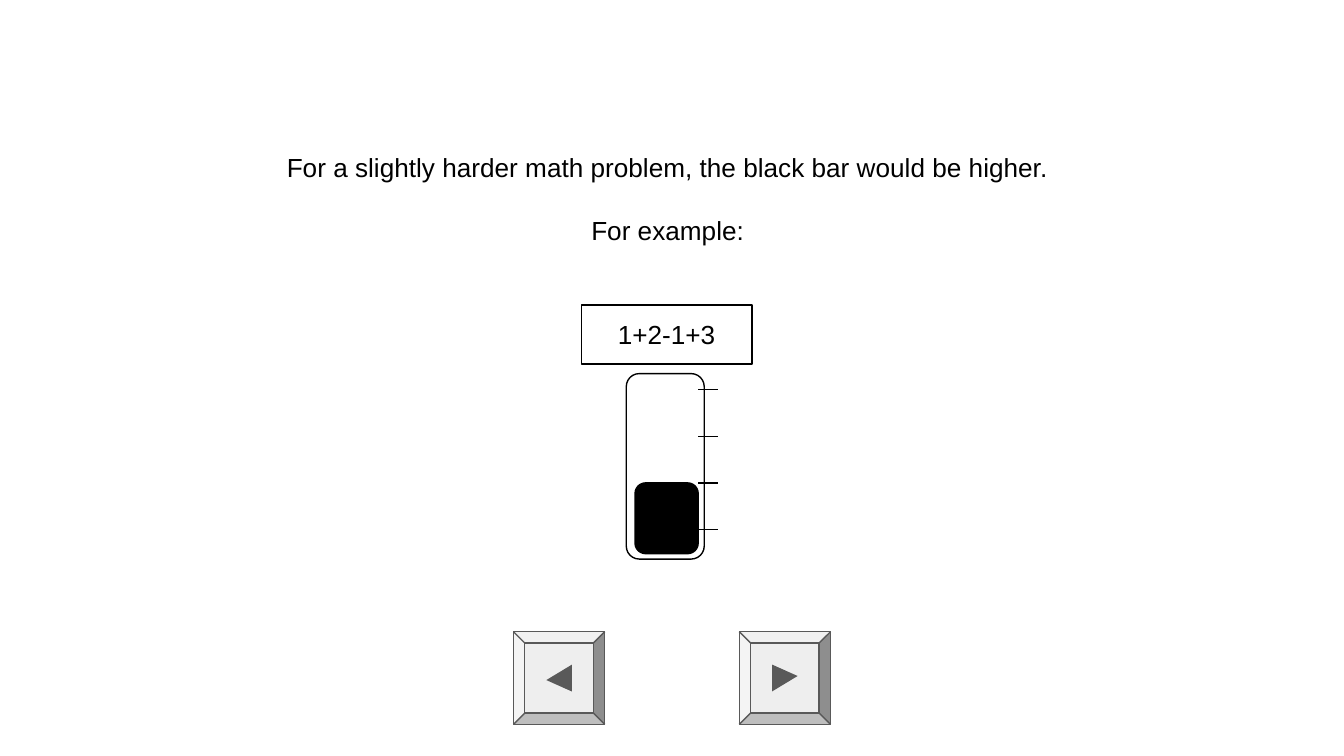
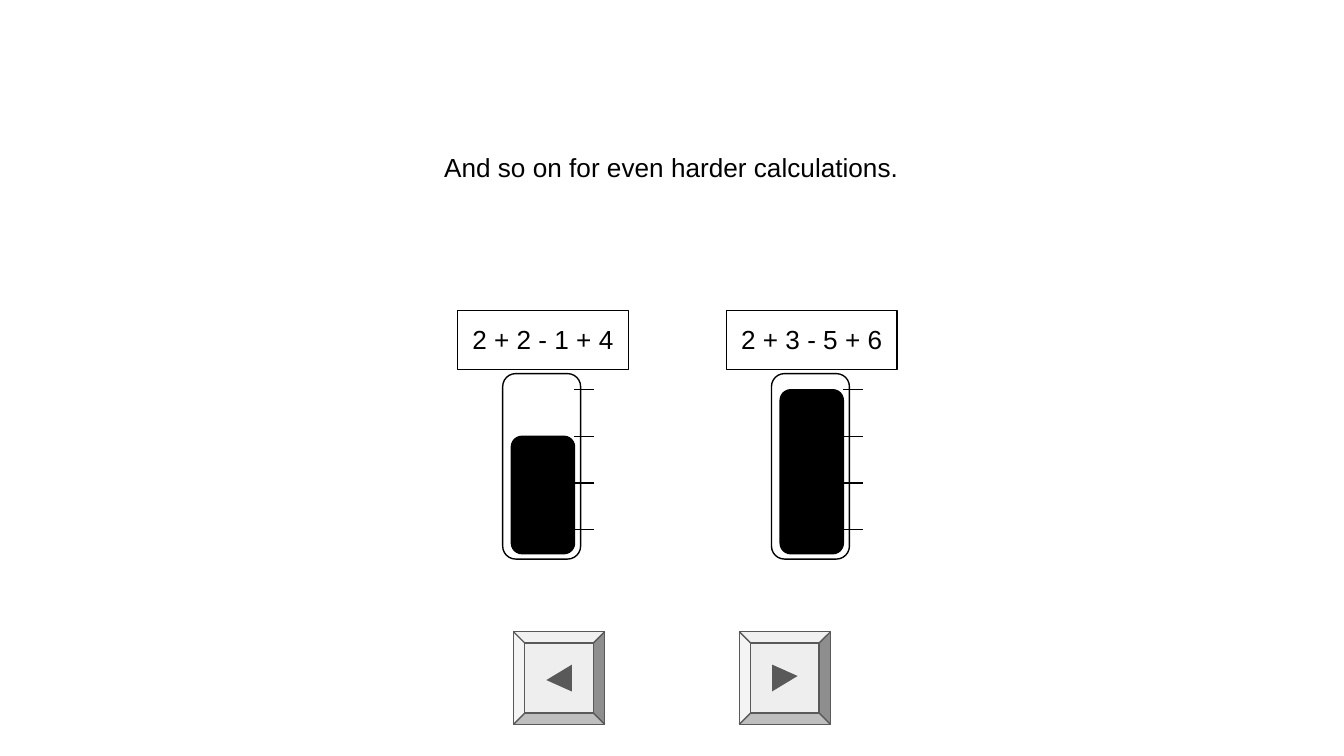
from dataclasses import dataclass

from lxml.etree import SubElement
from pptx import Presentation
from pptx.dml.color import RGBColor
from pptx.enum.shapes import MSO_CONNECTOR, MSO_SHAPE as Shape
from pptx.enum.text import MSO_ANCHOR, MSO_AUTO_SIZE, PP_ALIGN
from pptx.oxml.ns import qn
from pptx.util import Inches, Pt


@dataclass(frozen=True)
class Theme:
    black: RGBColor = RGBColor(0x00, 0x00, 0x00)
    white: RGBColor = RGBColor(0xFF, 0xFF, 0xFF)
    button: RGBColor = RGBColor(0xEE, 0xEE, 0xEE)
    arrow: RGBColor = RGBColor(0x59, 0x59, 0x59)
    font: str = "Arial"
    text_size: Pt = Pt(14)
    paragraph_gap: Pt = Pt(16.5)
    line_width: Pt = Pt(0.75)


@dataclass(frozen=True)
class Gauge:
    problem: str
    center: float
    level: int  # number of the tick that the bar reaches, from the bottom


@dataclass(frozen=True)
class GaugeSlide:
    lines: tuple[str, ...]
    text_height: float
    problem_top: float
    gauges: tuple[Gauge, ...]


@dataclass(frozen=True)
class NavButton:
    left: float
    rotation: float


THEME = Theme()

# Slide size, 16:9
SLIDE_WIDTH = 10
SLIDE_HEIGHT = SLIDE_WIDTH * 9 / 16

# Gauge geometry
TUBE_TOP, TUBE_WIDTH, TUBE_HEIGHT = 2.78, 0.58, 1.38
BAR_WIDTH, BAR_BOTTOM = 0.47, 4.12
PROBLEM_WIDTH, PROBLEM_HEIGHT = 1.27, 0.44
CONTENT_SHIFT = 0.01  # bar and problem sit slightly right of the tube's centre
TICK_COUNT, TICK_TOP, TICK_BOTTOM = 4, 2.9, 3.94
TICK_START, TICK_END = 0.24, 0.39

# Navigation geometry
BUTTON_TOP, BUTTON_WIDTH, BUTTON_HEIGHT = 4.7, 0.68, 0.69
ARROW_WIDTH, ARROW_HEIGHT = 0.2, 0.19
NAV_BUTTONS = (NavButton(5.5, 89.9), NavButton(3.82, 269.9))

SLIDES = (
    GaugeSlide(
        ("For a slightly harder math problem, the black bar would be higher. ", "For example: "),
        0.91,
        2.27,
        (Gauge("1+2-1+3", 4.95, 2),),
    ),
    GaugeSlide(
        ("And so on for even harder calculations.",),
        0.44,
        2.31,
        (Gauge("2 + 2 - 1 + 4", 4.03, 3), Gauge("2 + 3 - 5 + 6", 6.03, 4)),
    ),
)


def add_box(shapes, kind: Shape, left: float, top: float, width: float, height: float,
            fill: RGBColor | None = None, line: RGBColor | None = None):
    sp = shapes.add_shape(kind, Inches(left), Inches(top), Inches(width), Inches(height))
    sp.shadow.inherit = False
    if fill is None:
        sp.fill.background()
    else:
        sp.fill.solid()
        sp.fill.fore_color.rgb = fill
    if line is None:
        sp.line.fill.background()
    else:
        sp.line.color.rgb = line
        sp.line.width = THEME.line_width
    return sp


def write_text(tf, lines: tuple[str, ...]) -> None:
    margin = Inches(0.1)
    frame_format = {
        "margin_left": margin,
        "margin_right": margin,
        "margin_top": margin,
        "margin_bottom": margin,
        "word_wrap": True,
        "auto_size": MSO_AUTO_SIZE.SHAPE_TO_FIT_TEXT,
        "vertical_anchor": MSO_ANCHOR.TOP,
    }
    for name, value in frame_format.items():
        setattr(tf, name, value)
    for i, text in enumerate(lines):
        p = tf.add_paragraph() if i else tf.paragraphs[0]
        p.alignment = PP_ALIGN.CENTER
        if i:
            p.space_before = THEME.paragraph_gap
        r = p.add_run()
        r.text = text
        for name, value in {"name": THEME.font, "size": THEME.text_size}.items():
            setattr(r.font, name, value)
        r.font.color.rgb = THEME.black


def add_tick(shapes, center: float, y: float) -> None:
    cn = shapes.add_connector(MSO_CONNECTOR.STRAIGHT, Inches(center + TICK_END), Inches(y),
                              Inches(center + TICK_START), Inches(y))
    cn.line.color.rgb = THEME.black
    cn.line.width = THEME.line_width
    SubElement(cn._element.spPr, qn("a:effectLst"))


def add_gauge(shapes, gauge: Gauge, problem_top: float) -> None:
    # Tube
    add_box(shapes, Shape.FLOWCHART_ALTERNATE_PROCESS, gauge.center - TUBE_WIDTH / 2, TUBE_TOP,
            TUBE_WIDTH, TUBE_HEIGHT, THEME.white, THEME.black)
    # Scale, from the bottom tick up
    step = (TICK_BOTTOM - TICK_TOP) / (TICK_COUNT - 1)
    ticks = [TICK_BOTTOM - i * step for i in range(TICK_COUNT)]
    for y in ticks:
        add_tick(shapes, gauge.center, y)
    # Bar
    middle = gauge.center + CONTENT_SHIFT
    bar_top = ticks[gauge.level - 1]
    add_box(shapes, Shape.FLOWCHART_ALTERNATE_PROCESS, middle - BAR_WIDTH / 2, bar_top,
            BAR_WIDTH, BAR_BOTTOM - bar_top, THEME.black, THEME.black)
    # Math problem
    sp = add_box(shapes, Shape.RECTANGLE, middle - PROBLEM_WIDTH / 2, problem_top,
                 PROBLEM_WIDTH, PROBLEM_HEIGHT, line=THEME.black)
    write_text(sp.text_frame, (gauge.problem,))


def add_nav_button(shapes, button: NavButton) -> None:
    grp = shapes.add_group_shape()
    bevel = add_box(grp.shapes, Shape.BEVEL, button.left, BUTTON_TOP, BUTTON_WIDTH, BUTTON_HEIGHT,
                    THEME.button, THEME.arrow)
    bevel.adjustments[0] = 0.125
    arrow = add_box(grp.shapes, Shape.ISOSCELES_TRIANGLE,
                    button.left + (BUTTON_WIDTH - ARROW_WIDTH) / 2,
                    BUTTON_TOP + (BUTTON_HEIGHT - ARROW_HEIGHT) / 2,
                    ARROW_WIDTH, ARROW_HEIGHT, THEME.arrow)
    arrow.adjustments[0] = 0.426
    arrow.rotation = button.rotation


def build_slide(prs, content: GaugeSlide) -> None:
    s = prs.slides.add_slide(prs.slide_layouts[6])
    s.background.fill.solid()
    s.background.fill.fore_color.rgb = THEME.white
    # Explanation
    tb = s.shapes.add_textbox(Inches(0.82), Inches(1.03), Inches(8.35), Inches(content.text_height))
    write_text(tb.text_frame, content.lines)
    # Navigation
    for button in NAV_BUTTONS:
        add_nav_button(s.shapes, button)
    # Gauges
    for gauge in content.gauges:
        add_gauge(s.shapes, gauge, content.problem_top)


def main() -> None:
    prs = Presentation()
    prs.slide_width = Inches(SLIDE_WIDTH)
    prs.slide_height = Inches(SLIDE_HEIGHT)
    for content in SLIDES:
        build_slide(prs, content)
    prs.save("out.pptx")


if __name__ == "__main__":
    main()
